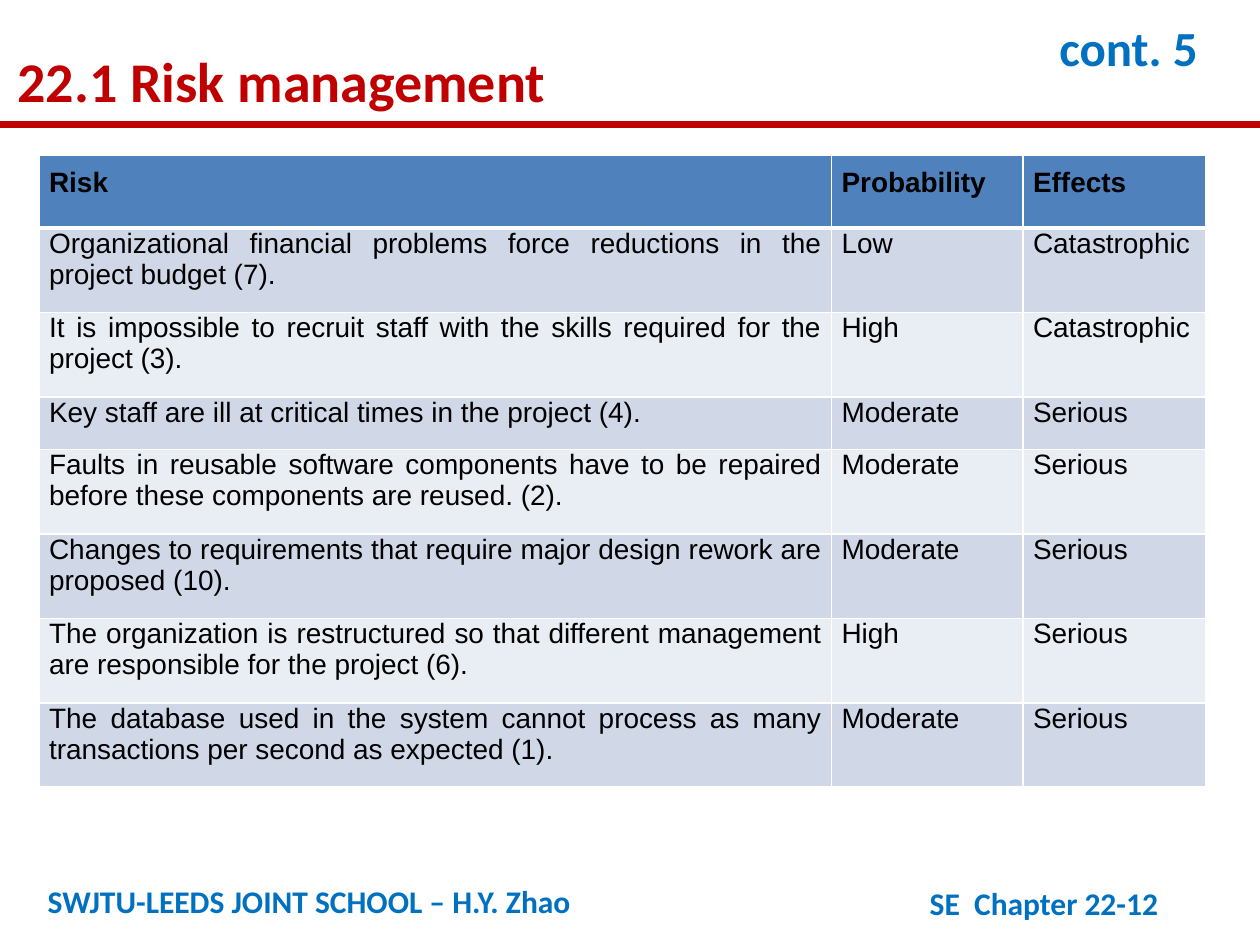
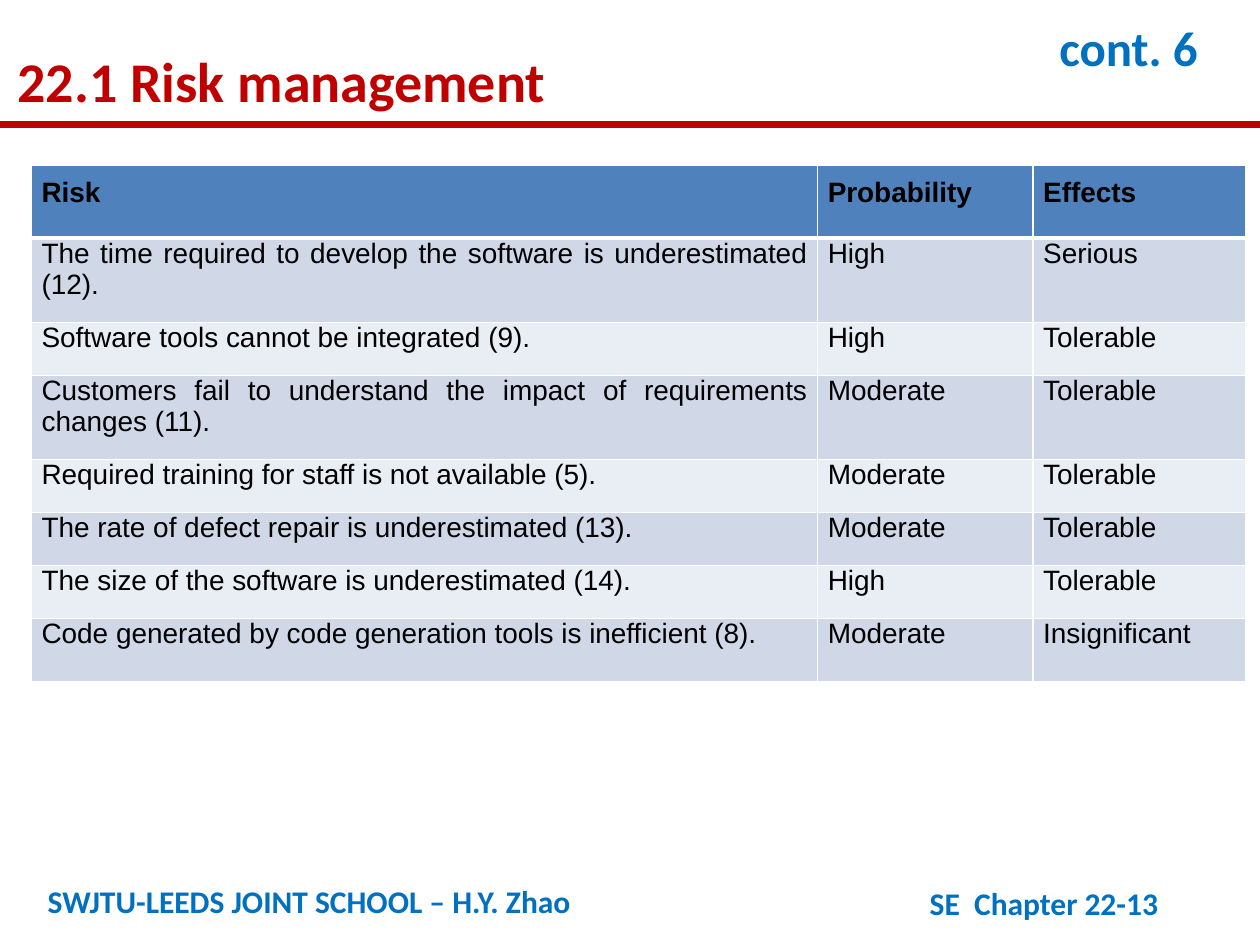
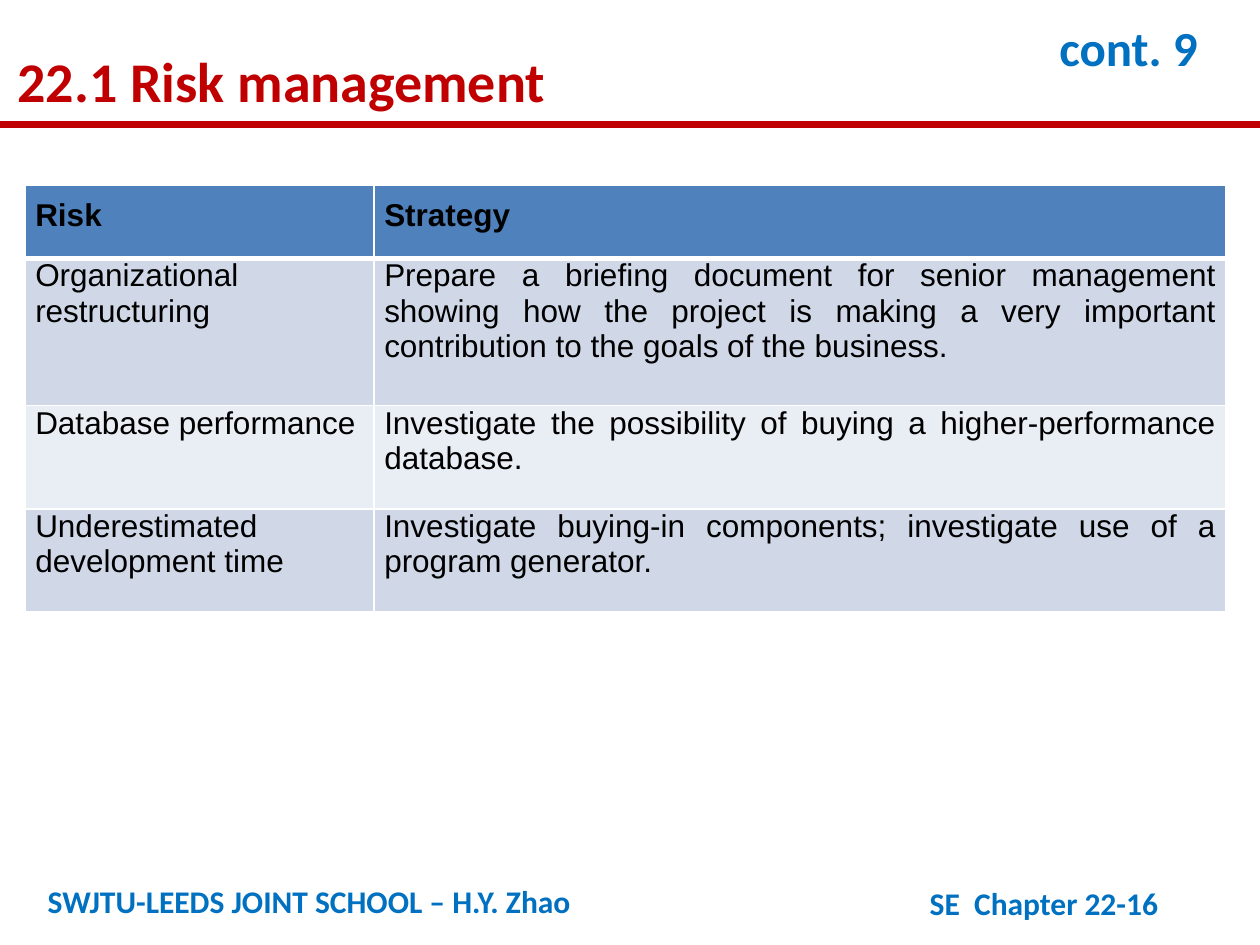
from lxml.etree import SubElement
from pptx import Presentation
from pptx.dml.color import RGBColor
from pptx.enum.shapes import MSO_CONNECTOR
from pptx.enum.text import MSO_ANCHOR, PP_ALIGN
from pptx.oxml import parse_xml
from pptx.oxml.ns import nsdecls, qn
from pptx.util import Inches, Pt

COLORS = {
    "red": "C00000",
    "blue": "0070C0",
    "black": "000000",
    "white": "FFFFFF",
    "header": "4F81BD",
    "dark_band": "D0D8E8",
    "light_band": "E9EDF4",
}
HEADING_FONT, TABLE_FONT = "Calibri", "Arial"
GRID_COLUMNS, GRID_ROWS = 100, 75
TITLE_ONLY = 5


def color(name):
    return RGBColor.from_string(COLORS[name])


class Deck:
    """Holds the shared style and the current slide; lengths are grid units."""

    def __init__(self):
        self.presentation = Presentation()
        self.presentation.slide_width = Inches(10)
        self.presentation.slide_height = Inches(7.5)
        self.slide = None

    def x(self, columns):
        return round(self.presentation.slide_width * columns / GRID_COLUMNS)

    def y(self, rows):
        return round(self.presentation.slide_height * rows / GRID_ROWS)

    def box(self, left, top, width, height):
        return self.x(left), self.y(top), self.x(width), self.y(height)

    def add_slide(self, title, part, number):
        layout = self.presentation.slide_layouts[TITLE_ONLY]
        self.slide = self.presentation.slides.add_slide(layout)
        self.rule(9.9)
        self.title(title)
        self.text(f"cont. {part}", (83.1, 2.1, 15.7, 8.2), 28, spacing=Pt(25))
        self.text("SWJTU-LEEDS JOINT SCHOOL – H.Y. Zhao", (2.8, 69.5, 63.1, 4), 18)
        self.text(f"SE  Chapter 22-{number}", (72.8, 69.7, 26.1, 4), 18)

    def rule(self, row):
        line = self.slide.shapes.add_connector(
            MSO_CONNECTOR.STRAIGHT, 0, self.y(row), self.x(GRID_COLUMNS), self.y(row))
        line.line.color.rgb = color("red")
        line.line.width = Pt(4)
        SubElement(line._element.spPr, qn("a:effectLst"))

    def title(self, words):
        shape = self.slide.shapes.title
        shape.left, shape.top, shape.width, shape.height = self.box(0.4, 2.1, 84.3, 7)
        self.fill_text(shape.text_frame, words, 32, "red", 1.2)

    def text(self, words, place, size, spacing=None):
        shape = self.slide.shapes.add_textbox(*self.box(*place))
        self.fill_text(shape.text_frame, words, size, "blue", spacing)

    def fill_text(self, frame, words, size, color_name, spacing):
        frame.text = words
        frame.word_wrap = True
        frame.vertical_anchor = MSO_ANCHOR.TOP
        paragraph = frame.paragraphs[0]
        paragraph.alignment = PP_ALIGN.LEFT
        paragraph.line_spacing = spacing
        self.font(paragraph, HEADING_FONT, size, color_name, True)

    def font(self, paragraph, name, size, color_name, bold):
        font = paragraph.font
        font.name, font.size, font.bold = name, Pt(size), bold
        font.color.rgb = color(color_name)

    def table(self, left, top, columns, rows, records, size=16, left_columns=()):
        place = self.box(left, top, sum(columns), sum(rows))
        table = self.slide.shapes.add_table(len(rows), len(columns), *place).table
        for column, width in zip(table.columns, columns):
            column.width = self.x(width)
        for row, height in zip(table.rows, rows):
            row.height = self.y(height)
        for row_index, record in enumerate(records):
            for column_index, words in enumerate(record):
                cell = table.cell(row_index, column_index)
                ragged = row_index > 0 and column_index in left_columns
                self.cell(cell, words, row_index, size, ragged)

    def cell(self, cell, words, row_index, size, ragged):
        is_header = row_index == 0
        band = "dark_band" if row_index % 2 else "light_band"
        cell.fill.solid()
        cell.fill.fore_color.rgb = color("header" if is_header else band)
        cell.margin_left = cell.margin_right = Inches(0.08)
        cell.margin_top = Inches(0.1 if is_header else 0)
        cell.margin_bottom = Inches(0.1)
        cell.text = words
        paragraph = cell.text_frame.paragraphs[0]
        paragraph.alignment = PP_ALIGN.LEFT if ragged else PP_ALIGN.JUSTIFY
        self.font(paragraph, TABLE_FONT, size, "black", is_header)
        # The rule between header and body is thicker than the others
        widths = {"L": 1, "R": 1, "T": 3 if row_index == 1 else 1, "B": 3 if is_header else 1}
        for position, (side, width) in enumerate(widths.items()):
            border = parse_xml(
                f'<a:ln{side} {nsdecls("a")} w="{Pt(width)}"><a:solidFill>'
                f'<a:srgbClr val="{COLORS["white"]}"/></a:solidFill></a:ln{side}>')
            cell._tc.get_or_add_tcPr().insert(position, border)


RISK_HEADER = ("Risk", "Probability", "Effects")
SERIOUS_RISKS = [
    RISK_HEADER,
    ("Organizational financial problems force reductions in the project budget (7).",
     "Low", "Catastrophic"),
    ("It is impossible to recruit staff with the skills required for the project (3).",
     "High", "Catastrophic"),
    ("Key staff are ill at critical times in the project (4).", "Moderate", "Serious"),
    ("Faults in reusable software components have to be repaired before these "
     "components are reused. (2).", "Moderate", "Serious"),
    ("Changes to requirements that require major design rework are proposed (10).",
     "Moderate", "Serious"),
    ("The organization is restructured so that different management are responsible "
     "for the project (6).", "High", "Serious"),
    ("The database used in the system cannot process as many transactions per second "
     "as expected (1).", "Moderate", "Serious"),
]
TOLERABLE_RISKS = [
    RISK_HEADER,
    ("The time required to develop the software is underestimated (12).",
     "High", "Serious"),
    ("Software tools cannot be integrated (9).", "High", "Tolerable"),
    ("Customers fail to understand the impact of requirements changes (11).",
     "Moderate", "Tolerable"),
    ("Required training for staff is not available (5).", "Moderate", "Tolerable"),
    ("The rate of defect repair is underestimated (13).", "Moderate", "Tolerable"),
    ("The size of the software is underestimated (14).", "High", "Tolerable"),
    ("Code generated by code generation tools is inefficient (8).",
     "Moderate", "Insignificant"),
]
STRATEGIES = [
    ("Risk", "Strategy"),
    ("Organizational restructuring",
     "Prepare a briefing document for senior management showing how the project is "
     "making a very important contribution to the goals of the business."),
    ("Database performance",
     "Investigate the possibility of buying a higher-performance database."),
    ("Underestimated development time",
     "Investigate buying-in components; investigate use of a program generator."),
]
TITLE = "22.1 Risk management"
# Row heights for a header and for one or two lines of text
HEADER, ONE, TWO = 5.8, 4.2, 6.7


def main():
    deck = Deck()

    # Catastrophic and serious risks
    deck.add_slide(TITLE, 5, 12)
    deck.table(3.1, 12.3, (62.9, 15.2, 14.5),
               (HEADER, TWO, TWO, ONE, TWO, TWO, TWO, TWO), SERIOUS_RISKS)

    # Tolerable and insignificant risks
    deck.add_slide(TITLE, 6, 13)
    deck.table(2.5, 13.1, (62.4, 17.1, 16.9),
               (HEADER, TWO, ONE, TWO, ONE, ONE, ONE, 5), TOLERABLE_RISKS)

    # Strategies
    deck.add_slide(TITLE, 9, 16)
    deck.table(2, 14.7, (27.7, 67.6), (HEADER, 11.7, 8.2, 8.2), STRATEGIES,
               size=18, left_columns=(0,))

    deck.presentation.save("out.pptx")


if __name__ == "__main__":
    main()
